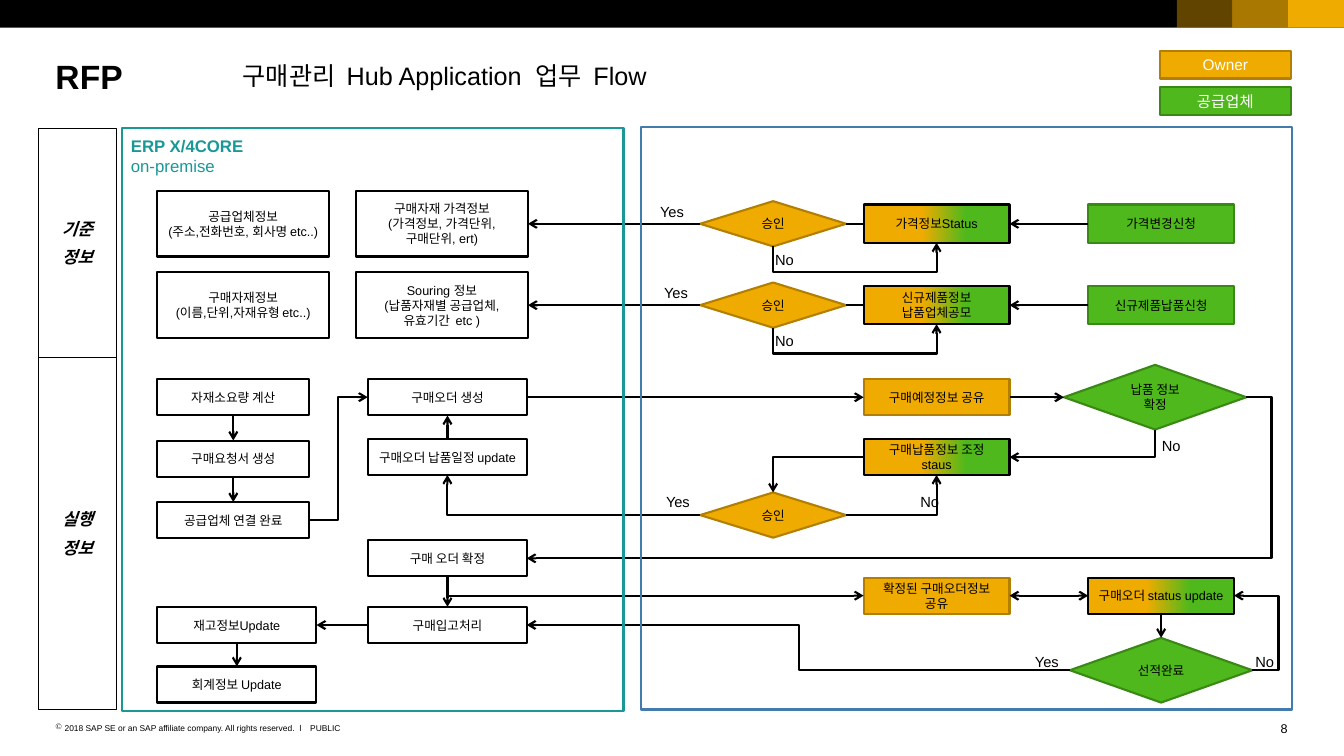
from lxml import etree
from pptx import Presentation
from pptx.dml.color import RGBColor
from pptx.enum.shapes import MSO_CONNECTOR, MSO_SHAPE
from pptx.enum.text import MSO_ANCHOR, PP_ALIGN
from pptx.oxml.ns import qn
from pptx.util import Cm, Pt

RECT, DIAMOND = MSO_SHAPE.RECTANGLE, MSO_SHAPE.DIAMOND
STRAIGHT, ELBOW = MSO_CONNECTOR.STRAIGHT, MSO_CONNECTOR.ELBOW
LEFT, CENTER, RIGHT = PP_ALIGN.LEFT, PP_ALIGN.CENTER, PP_ALIGN.RIGHT
TOP, MIDDLE = MSO_ANCHOR.TOP, MSO_ANCHOR.MIDDLE

THEME = {
    "font": "Arial",
    "black": RGBColor(0x00, 0x00, 0x00),
    "white": RGBColor(0xFF, 0xFF, 0xFF),
    "gold": RGBColor(0xF0, 0xAB, 0x00),
    "gold_edge": RGBColor(0xB2, 0x7F, 0x00),
    "green": RGBColor(0x4F, 0xB8, 0x1C),
    "green_edge": RGBColor(0x3A, 0x88, 0x15),
    "teal": RGBColor(0x1A, 0x98, 0x98),
    "blue": RGBColor(0x42, 0x7C, 0xAC),
    "title": Pt(24), "subtitle": Pt(18), "heading": Pt(12), "legend": Pt(11),
    "label": Pt(10.5), "node": Pt(9), "page": Pt(9), "footer": Pt(6),
}
# Fill and edge of each kind of shape
PLAIN = (None, "black")
OWNER = ("gold", "gold_edge")
SUPPLIER = ("green", "green_edge")
SHARED = ("gold green", "black")

prs = Presentation()
prs.slide_width, prs.slide_height = Cm(33.88), Cm(19.05)
slide = prs.slides.add_slide(prs.slide_layouts[6])


def place(x, y, w, h, text="", size="node", paint=None, geometry=RECT, color="black",
          bold=False, italic=False, align=CENTER, anchor=MIDDLE, margins=(0.25, 0.13),
          wrap=True, weight=1.5):
    """A painted shape, or a bare text box when there is no paint."""
    box = [Cm(v) for v in (x, y, w, h)]
    if paint:
        shape = slide.shapes.add_shape(geometry, *box)
        shape.shadow.inherit = False
        fill, edge = paint
        if fill is None:
            shape.fill.background()
        elif " " in fill:
            shape.fill.gradient()
            shape.fill.gradient_angle = 0
            for stop, name, position in zip(shape.fill.gradient_stops, fill.split(), (0.4, 0.7)):
                stop.color.rgb, stop.position = THEME[name], position
        else:
            shape.fill.solid()
            shape.fill.fore_color.rgb = THEME[fill]
        if edge:
            shape.line.color.rgb = THEME[edge]
            shape.line.width = Pt(weight)
        else:
            shape.line.fill.background()
    else:
        shape = slide.shapes.add_textbox(*box)
    if not text:
        return shape
    side, end = (Cm(v) for v in margins)
    frame = shape.text_frame
    frame_format = {"margin_left": side, "margin_right": side, "margin_top": end,
                    "margin_bottom": end, "word_wrap": wrap, "vertical_anchor": anchor}
    for name, value in frame_format.items():
        setattr(frame, name, value)
    frame.text = text
    font_format = {"name": THEME["font"], "size": THEME[size], "bold": bold, "italic": italic}
    for paragraph in frame.paragraphs:
        paragraph.alignment = align
        for run in paragraph.runs:
            run.font.color.rgb = THEME[color]
            for name, value in font_format.items():
                setattr(run.font, name, value)
    return shape


def route(points, arrows=("tailEnd",)):
    """A connector through two, three or four corner points."""
    (x1, y1), (x2, y2) = points[0], points[-1]
    bends = len(points) - 2
    upright = bends and points[0][0] == points[1][0]
    start, end, via = (x1, y1), (x2, y2), points[1][0]
    if upright:  # lay the path on its side, then turn it a quarter
        cx, cy = (x1 + x2) / 2, (y1 + y2) / 2
        start, end = ((cx + y - cy, cy - x + cx) for x, y in (start, end))
        via = cx + points[1][1] - cy
    line = slide.shapes.add_connector(ELBOW if bends else STRAIGHT,
                                      *(Cm(v) for v in start + end))
    line.line.color.rgb, line.line.width = THEME["black"], Pt(1.5)
    properties = line._element.spPr
    if upright:
        properties.find(qn("a:xfrm")).set("rot", "5400000")
    if bends:
        preset = properties.find(qn("a:prstGeom"))
        preset.set("prst", f"bentConnector{bends + 1}")
    if bends == 2:
        share = round((via - start[0]) / (end[0] - start[0]) * 100000)
        etree.SubElement(preset.find(qn("a:avLst")), qn("a:gd"), name="adj1", fmla=f"val {share}")
    for arrow in arrows:
        etree.SubElement(properties.find(qn("a:ln")), qn(f"a:{arrow}"), type="arrow")
    etree.SubElement(properties, qn("a:effectLst"))


# Top band
place(0, 0, 33.88, 0.7, paint=("black", None))
for step, alpha in enumerate((40, 70, 100)):
    tile = place(29.67 + 1.4 * step, 0, 1.41, 0.7, paint=("gold", None))
    if alpha < 100:
        tint = tile._element.spPr.find(qn("a:solidFill"))[0]
        etree.SubElement(tint, qn("a:alpha"), val=str(alpha * 1000))

# Titles, legend and footer
bare = {"align": LEFT, "anchor": TOP, "margins": (0, 0)}
place(1.4, 1.4, 4.5, 1.02, "RFP", "title", bold=True, **bare)
place(6.12, 1.52, 12.27, 0.76, "구매관리  Hub Application  업무  Flow", "subtitle", **bare)
for y, party, paint in ((1.29, "Owner", OWNER), (2.2, "공급업체", SUPPLIER)):
    place(29.24, y, 3.3, 0.69, party, "legend", paint, color="white", margins=(0.25, 0))
rights = place(1.4, 18.21, 6.3, 0.25,
               "2018 SAP SE or an SAP affiliate company. All rights reserved.  ǀ", "footer", **bare)
indent = rights.text_frame.paragraphs[0]._p.get_or_add_pPr()
indent.set("marL", str(Cm(0.23)))
indent.set("indent", str(Cm(-0.23)))
etree.SubElement(indent, qn("a:buChar"), char="©")
place(7.82, 18.21, 0.79, 0.25, "PUBLIC", "footer", **bare)
place(32.08, 18.16, 0.38, 0.38, "8", "page", wrap=False, **{**bare, "align": RIGHT})

# Phase column
for y, h, phase in ((3.23, 5.77, "기준\n정보"), (9, 8.89, "실행\n정보")):
    cell = place(0.97, y, 1.96, h, phase, "heading", PLAIN, bold=True, italic=True, weight=0.75)
    cell.text_frame.paragraphs[1].space_before = Pt(6)

# Centre lines of the columns and rows
PLAN, STOCK, MASTER, PRICE_INFO, ORDER = 5.88, 5.97, 6.13, 11.14, 11.28
APPROVAL, STATUS, CONFIRM, REQUEST = 19.49, 23.61, 29.12, 29.27
PRICE, PRODUCT, CREATE, ADJUST, APPROVE = 5.64, 7.69, 10.01, 11.52, 12.98
FIX, SHARE, RECEIPT, SHIP = 14.07, 15.01, 15.75, 16.89
PURCHASE, LINKED, ACCOUNT = 11.56, 13.11, 17.25

# Steps by size: text, centre x, centre y, paint
STEPS = {
    (4.34, 1.65, RECT): [
        ("공급업체정보\n(주소,전화번호, 회사명 etc..)", MASTER, PRICE, PLAIN),
        ("구매자재정보\n(이름,단위,자재유형 etc..)", MASTER, PRODUCT, PLAIN),
        ("구매자재 가격정보\n(가격정보, 가격단위, 구매단위, ert)", PRICE_INFO, PRICE, PLAIN),
        ("Souring 정보\n(납품자재별 공급업체, 유효기간  etc )", PRICE_INFO, PRODUCT, PLAIN)],
    (3.84, 0.91, RECT): [
        ("자재소요량 계산", PLAN, CREATE, PLAIN),
        ("구매요청서 생성", PLAN, PURCHASE, PLAIN),
        ("공급업체 연결 완료", PLAN, LINKED, PLAIN)],
    (4.01, 0.91, RECT): [
        ("구매오더 생성", ORDER, CREATE, PLAIN),
        ("구매오더 납품일정 update", ORDER, ADJUST, PLAIN),
        ("구매 오더 확정", ORDER, FIX, PLAIN),
        ("구매입고처리", ORDER, RECEIPT, PLAIN),
        ("재고정보Update", STOCK, RECEIPT, PLAIN),
        ("회계정보 Update", STOCK, ACCOUNT, PLAIN)],
    (3.68, 0.97, RECT): [
        ("가격정보Status", STATUS, PRICE, SHARED),
        ("신규제품정보\v납품업체공모", STATUS, PRODUCT, SHARED),
        ("가격변경신청", REQUEST, PRICE, SUPPLIER),
        ("신규제품납품신청", REQUEST, PRODUCT, SUPPLIER)],
    (3.68, 0.91, RECT): [
        ("구매예정정보 공유", STATUS, CREATE, OWNER),
        ("구매납품정보 조정 staus", STATUS, ADJUST, SHARED),
        ("확정된 구매오더정보 공유", STATUS, SHARE, OWNER),
        ("구매오더 status update", REQUEST, SHARE, SHARED)],
    (3.68, 1.14, DIAMOND): [("승인", APPROVAL, y, OWNER) for y in (PRICE, PRODUCT, APPROVE)],
    (4.6, 1.63, DIAMOND): [
        ("납품 정보 확정", CONFIRM, CREATE, SUPPLIER),
        ("선적완료", REQUEST, SHIP, SUPPLIER)],
}
for (w, h, geometry), steps in STEPS.items():
    for text, x, y, paint in steps:
        place(x - w / 2, y - h / 2, w, h, text, paint=paint, geometry=geometry)

# Request and approval rows
for y in (PRICE, PRODUCT):
    route([(27.43, y), (25.45, y)])
    route([(21.77, y), (21.33, y)], arrows=())
    route([(17.65, y), (13.31, y)])
    route([(APPROVAL, y + 0.57), (APPROVAL, y + 1.22), (STATUS, y + 1.22), (STATUS, y + 0.48)])

# Purchasing flow
for path in (
    [(PLAN, 10.47), (PLAN, 11.1)],
    [(PLAN, 12.02), (PLAN, 12.65)],
    [(7.8, LINKED), (8.52, LINKED), (8.52, CREATE), (9.27, CREATE)],
    [(13.28, CREATE), (21.77, CREATE)],
    [(25.45, CREATE), (26.82, CREATE)],
    [(31.42, CREATE), (32.05, CREATE), (32.05, FIX), (13.28, FIX)],
    [(CONFIRM, 10.83), (CONFIRM, ADJUST), (25.45, ADJUST)],
    [(21.77, ADJUST), (APPROVAL, ADJUST), (APPROVAL, 12.41)],
    [(21.33, APPROVE), (STATUS, APPROVE), (STATUS, 11.97)],
    [(17.65, APPROVE), (ORDER, APPROVE), (ORDER, 11.97)],
    [(ORDER, 11.06), (ORDER, 10.47)],
    [(ORDER, 14.53), (ORDER, 15.29)],
    [(ORDER, 14.53), (ORDER, SHARE), (21.77, SHARE)],
    [(REQUEST, 15.47), (REQUEST, 16.07)],
    [(31.57, SHIP), (32.23, SHIP), (32.23, SHARE), (31.11, SHARE)],
    [(26.97, SHIP), (20.14, SHIP), (20.14, RECEIPT), (13.28, RECEIPT)],
    [(9.27, RECEIPT), (7.98, RECEIPT)],
    [(STOCK, 16.21), (STOCK, 16.79)],
):
    route(path)
route([(25.45, SHARE), (27.43, SHARE)], arrows=("headEnd", "tailEnd"))

# Answers beside the branches
ANSWERS = {
    "Yes": [(16.64, 5.11), (16.74, 7.16), (16.79, 12.42), (26.09, 16.46)],
    "No": [(19.54, 6.32), (19.54, 8.36), (29.29, 11.02), (23.2, 12.42), (31.65, 16.46)],
}
for answer, spots in ANSWERS.items():
    for x, y in spots:
        place(x, y, 0.64, 0.46, answer, "label", wrap=False, **bare)

# System frames
place(16.15, 3.2, 16.41, 14.68, paint=(None, "blue"))
place(3.07, 3.23, 12.65, 14.68, paint=(None, "teal"))
system = place(3.05, 3.28, 12.42, 1.27, "ERP X/4CORE\von-premise", "heading", color="teal",
               bold=True, align=LEFT, anchor=TOP)
system.text_frame.paragraphs[0].runs[1].font.bold = False

prs.save("out.pptx")
